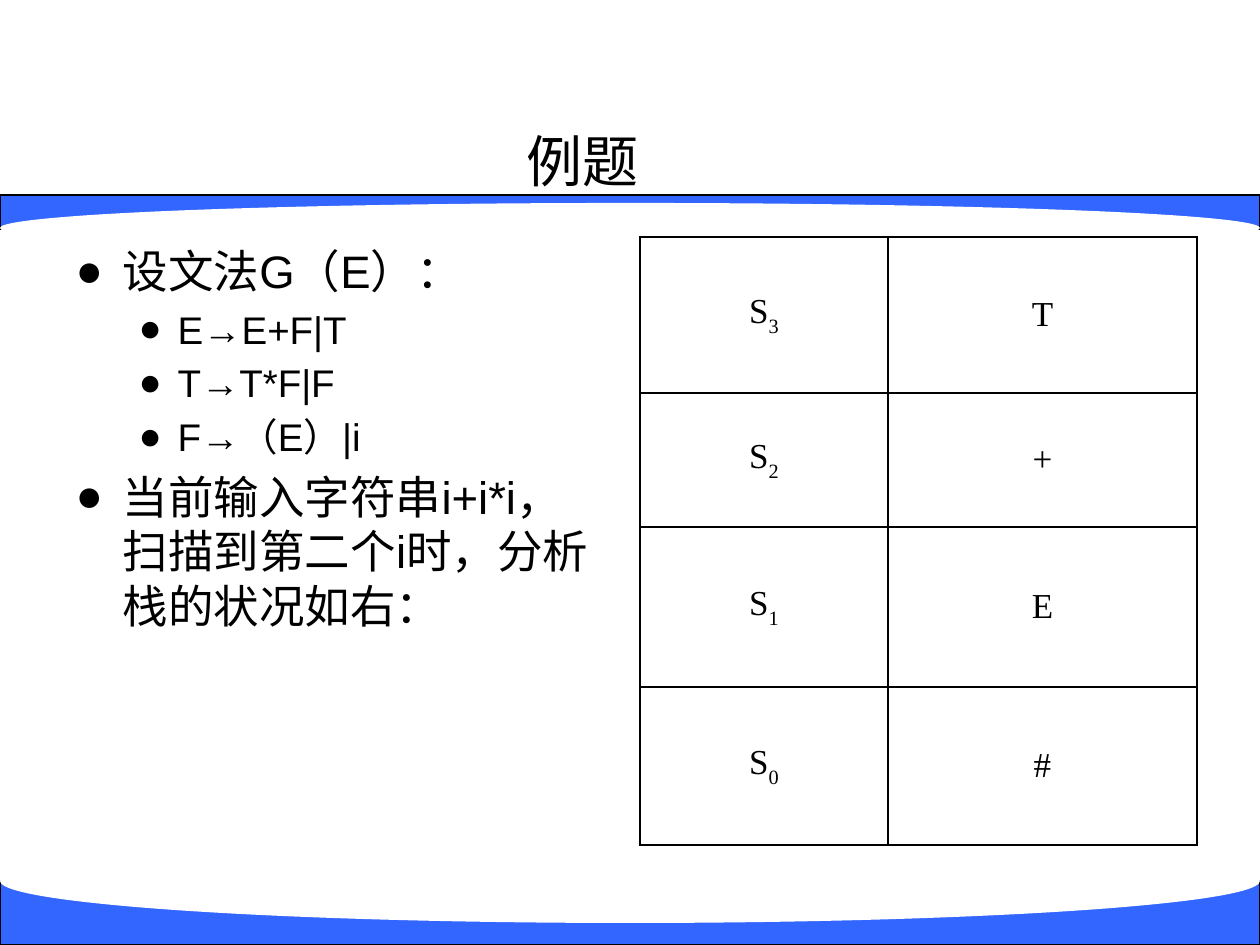
from lxml import etree
from pptx import Presentation
from pptx import util as u
from pptx.dml.color import RGBColor
from pptx.enum import shapes, text
from pptx.oxml import ns

SCALE = 914400 / 126
COLORS = {"band": "3366FF", "paper": "FFFFFF", "ink": "000000"}


def px(n):
    return u.Emu(round(n * SCALE))


def rgb(name):
    return RGBColor.from_string(COLORS[name])


def add_run(p, content, size, font="Arial", baseline=None):
    r = p.add_run()
    r.text = content
    r.font.size = u.Pt(size)
    r.font.name = font
    r.font.color.rgb = rgb("ink")
    if baseline:
        r._r.get_or_add_rPr().set("baseline", str(baseline))


def place(sp, x, y, w, h):
    sp.left, sp.top, sp.width, sp.height = px(x), px(y), px(w), px(h)


def add_band(s, x, y, w, h, oval_dy, oval_h):
    grp = s.shapes.add_group_shape()
    rect = grp.shapes.add_shape(shapes.MSO_SHAPE.RECTANGLE, px(x), px(y), px(w), px(h))
    oval = grp.shapes.add_shape(shapes.MSO_SHAPE.OVAL, px(x), px(y + oval_dy), px(w), px(oval_h))
    for sp, color in ((rect, "band"), (oval, "paper")):
        sp.shadow.inherit = False
        sp.fill.solid()
        sp.fill.fore_color.rgb = rgb(color)
    rect.line.color.rgb = rgb("ink")
    rect.line.width = u.Pt(0.75)
    oval.line.fill.background()
    s.shapes._spTree.insert(2, grp._element)


def fill_title(s, x, y, w, h, content):
    sp = s.shapes.title
    place(sp, x, y, w, h)
    tf = sp.text_frame
    tf.auto_size = text.MSO_AUTO_SIZE.NONE
    tf.vertical_anchor = text.MSO_ANCHOR.MIDDLE
    p = tf.paragraphs[0]
    p.alignment = text.PP_ALIGN.CENTER
    add_run(p, content, 32)


def fill_body(s, x, y, w, h, items):
    sp = s.placeholders[1]
    place(sp, x, y, w, h)
    tf = sp.text_frame
    tf.auto_size = text.MSO_AUTO_SIZE.NONE
    styles = {0: (47, 47, 26), 1: (102, 39, 22)}
    for i, (level, content) in enumerate(items):
        p = tf.paragraphs[0] if i == 0 else tf.add_paragraph()
        margin, hang, size = styles[level]
        p.level = level
        pPr = p._p.get_or_add_pPr()
        pPr.set("marL", str(px(margin)))
        pPr.set("indent", str(-px(hang)))
        etree.SubElement(pPr, ns.qn("a:buFont"), typeface="Arial")
        etree.SubElement(pPr, ns.qn("a:buChar"), char="●")
        if i == 0:
            p.space_before = u.Pt(0)
        add_run(p, content, size)


def set_borders(cell, width):
    tcPr = cell._tc.get_or_add_tcPr()
    for side in ("lnL", "lnR", "lnT", "lnB"):
        ln = etree.SubElement(tcPr, ns.qn(f"a:{side}"), w=str(u.Pt(width)))
        fill = etree.SubElement(ln, ns.qn("a:solidFill"))
        etree.SubElement(fill, ns.qn("a:srgbClr"), val=COLORS["ink"])


def add_stack(s, x, y, cols, rows, symbols):
    frame = s.shapes.add_table(len(rows), len(cols), px(x), px(y), px(sum(cols)), px(sum(rows)))
    table = frame.table
    table.first_row = table.horz_banding = False
    for col, w in zip(table.columns, cols):
        col.width = px(w)
    for i, (row, h, symbol) in enumerate(zip(table.rows, rows, symbols)):
        row.height = px(h)
        state = len(rows) - 1 - i
        for cell, content in zip(row.cells, ("S", symbol)):
            set_borders(cell, 1)
            cell.fill.background()
            cell.vertical_anchor = text.MSO_ANCHOR.MIDDLE
            p = cell.text_frame.paragraphs[0]
            p.alignment = text.PP_ALIGN.CENTER
            add_run(p, content, 20, "Times New Roman")
        add_run(row.cells[0].text_frame.paragraphs[0], str(state), 20, "Times New Roman", -30000)


def main():
    prs = Presentation()
    prs.slide_width, prs.slide_height = px(1260), px(945)
    s = prs.slides.add_slide(prs.slide_layouts[1])
    add_band(s, 0, 195, 1260, 34, 8, 50)
    add_band(s, 0, 881, 1260, 64, -42, 84)
    fill_title(s, 63, 125, 1040, 70, "例题")
    fill_body(s, 63, 237, 557, 607, [
        (0, "设文法G（E）："),
        (1, "E→E+F|T"),
        (1, "T→T*F|F"),
        (1, "F→（E）|i"),
        (0, "当前输入字符串i+i*i，扫描到第二个i时，分析栈的状况如右："),
    ])
    add_stack(s, 640, 237, (248, 309), (156, 134, 160, 158), "T+E#")
    prs.save("out.pptx")


if __name__ == "__main__":
    main()
